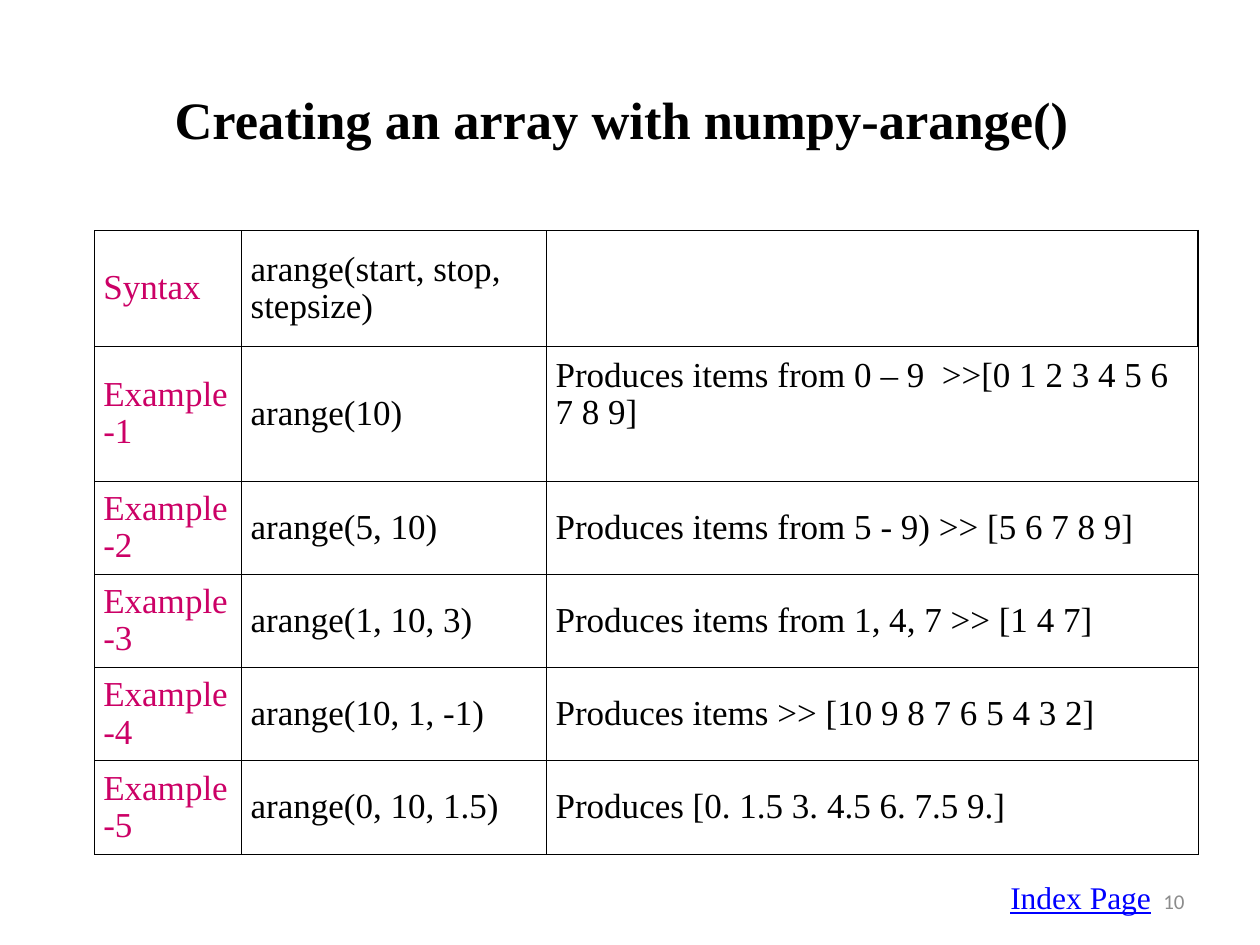
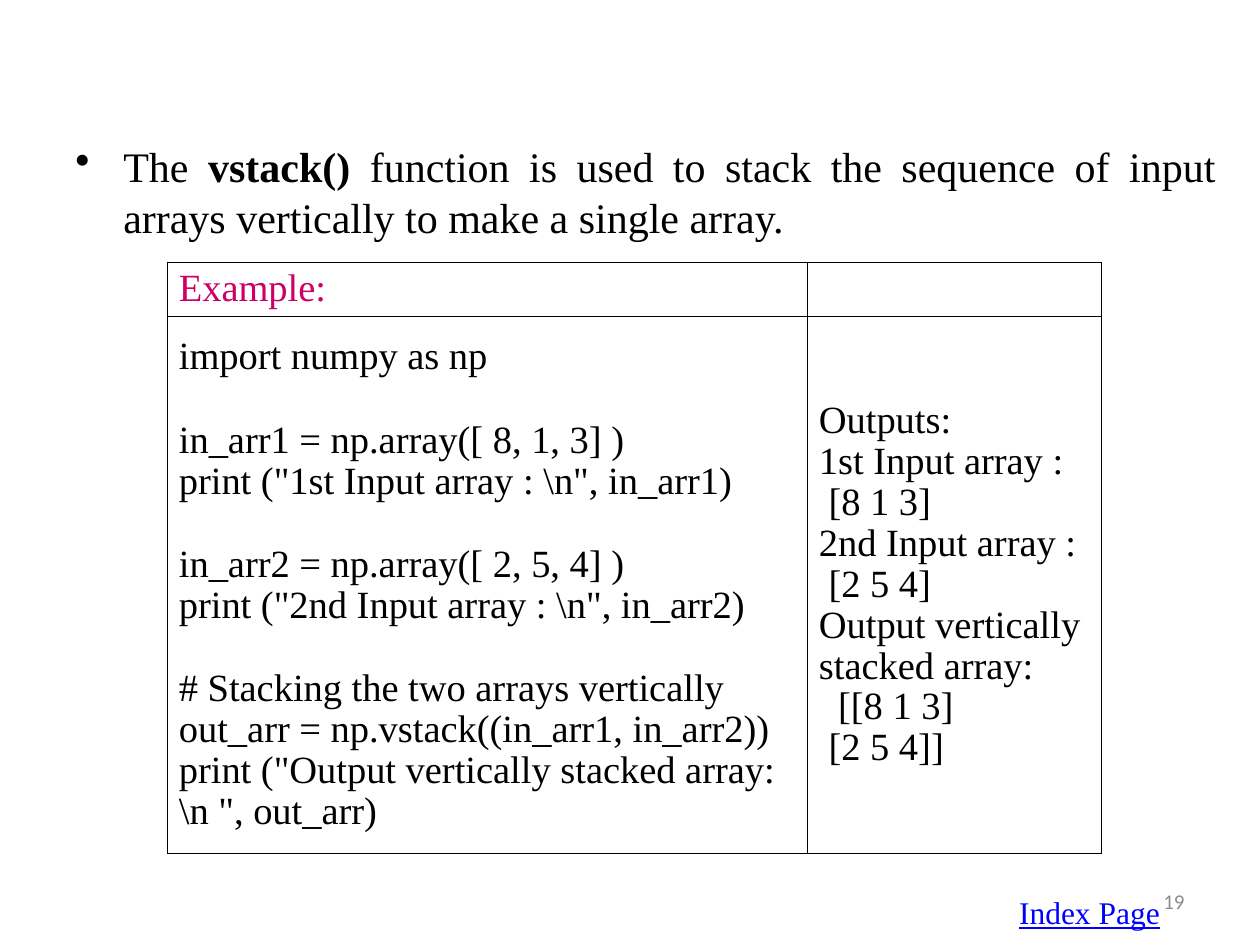
from lxml.etree import SubElement
from pptx import Presentation
from pptx.dml.color import RGBColor
from pptx.enum.text import MSO_ANCHOR as Anchor, MSO_AUTO_SIZE as AutoSize, PP_ALIGN as Align
from pptx.oxml.ns import qn
from pptx.util import Inches, Pt

SERIF = "Times New Roman"
BLACK, MAGENTA, LINK_BLUE, GREY = "000000", "CC0066", "0000FF", "8C8C8C"
CODE_LINE = 0.96

ARANGE_ROWS = [
    ("Syntax", "arange(start, stop, stepsize)", ""),
    ("Example-1", "arange(10)", "Produces items from 0 – 9  >>[0 1 2 3 4 5 6 7 8 9]"),
    ("Example-2", "arange(5, 10)", "Produces items from 5 - 9) >> [5 6 7 8 9]"),
    ("Example-3", "arange(1, 10, 3)", "Produces items from 1, 4, 7 >> [1 4 7]"),
    ("Example-4", "arange(10, 1, -1)", "Produces items >> [10 9 8 7 6 5 4 3 2]"),
    ("Example-5", "arange(0, 10, 1.5)", "Produces [0. 1.5 3. 4.5 6. 7.5 9.]"),
]
VSTACK_CODE = r'''import numpy as np

in_arr1 = np.array([ 8, 1, 3] )
print ("1st Input array : \n", in_arr1)

in_arr2 = np.array([ 2, 5, 4] )
print ("2nd Input array : \n", in_arr2)

# Stacking the two arrays vertically
out_arr = np.vstack((in_arr1, in_arr2))
print ("Output vertically stacked array:\n ", out_arr)'''
VSTACK_OUTPUT = '''Outputs:
1st Input array :
 [8 1 3]
2nd Input array :
 [2 5 4]
Output vertically stacked array:
  [[8 1 3]
 [2 5 4]]'''


def color(value):
    return RGBColor.from_string(value)


def set_values(target, values):
    for name, value in values.items():
        setattr(target, name, value)


def add_run(paragraph, text, size, ink=BLACK, name=SERIF, **values):
    run = paragraph.add_run()
    run.text = text
    set_values(run.font, {"size": Pt(size), "name": name, **values})
    run.font.color.rgb = color(ink)


def add_text(slide, box, align, **frame_values):
    shape = slide.shapes.add_textbox(*map(Inches, box))
    set_values(shape.text_frame, {"word_wrap": True, **frame_values})
    paragraph = shape.text_frame.paragraphs[0]
    paragraph.alignment = align
    return paragraph


def add_title(slide, box, text):
    paragraph = add_text(slide, box, Align.CENTER, word_wrap=False, auto_size=AutoSize.SHAPE_TO_FIT_TEXT)
    add_run(paragraph, text, 30, bold=True)


def add_footer(slide, number, link_left, link_top):
    page = add_text(slide, (7.17, 6.95, 2.33, 0.4), Align.RIGHT, vertical_anchor=Anchor.MIDDLE)
    add_run(page, number, 12, GREY, "Calibri")
    link = add_text(slide, (link_left, link_top, 1.33, 0.4), Align.JUSTIFY,
                    word_wrap=False, auto_size=AutoSize.SHAPE_TO_FIT_TEXT)
    add_run(link, "Index Page", 18, LINK_BLUE, underline=True)


def add_bullet(slide, box, pieces):
    paragraph = add_text(slide, box, Align.JUSTIFY)
    properties = paragraph._p.get_or_add_pPr()
    properties.set("marL", str(Inches(0.38)))
    properties.set("indent", str(Inches(-0.38)))
    SubElement(properties, qn("a:buChar"), char="•")
    paragraph.line_spacing = 1.03
    for text, bold in pieces:
        add_run(paragraph, text, 24, bold=bold)


def set_borders(cell, widths):
    properties = cell._tc.get_or_add_tcPr()
    for side, width in widths.items():
        line = SubElement(properties, qn(f"a:ln{side}"), w=str(Pt(width)))
        fill = SubElement(line, qn("a:solidFill"))
        SubElement(fill, qn("a:srgbClr"), val=BLACK)


def fill_cell(cell, text, size, ink, margin, widths):
    set_values(cell, {"vertical_anchor": Anchor.MIDDLE,
                      "margin_left": Inches(margin), "margin_right": Inches(margin),
                      "margin_top": Inches(0.04), "margin_bottom": Inches(0.04)})
    set_borders(cell, widths)
    cell.fill.background()
    paragraph, gap = cell.text_frame.paragraphs[0], 0
    for index, line in enumerate(text.split("\n") if text else []):
        if not line:
            gap = size * 1.15 * CODE_LINE
            continue
        if index:
            paragraph = cell.text_frame.add_paragraph()
        paragraph.line_spacing = CODE_LINE
        if gap:
            paragraph.space_before = Pt(gap)
        gap = 0
        add_run(paragraph, line, size, ink)


def add_grid(slide, origin, columns, heights, rows, size, margin, is_label, corner_width=0.5):
    box = (*origin, sum(columns), sum(heights))
    table = slide.shapes.add_table(len(rows), len(columns), *map(Inches, box)).table
    set_values(table, {"first_row": False, "horz_banding": False})
    for column, width in zip(table.columns, columns):
        column.width = Inches(width)
    for row, height in zip(table.rows, heights):
        row.height = Inches(height)
    for r, texts in enumerate(rows):
        for c, text in enumerate(texts):
            widths = dict.fromkeys("LRTB", 0.5)
            if r == 0 and c == len(columns) - 1:
                widths.update(R=corner_width, T=corner_width)
            ink = MAGENTA if is_label(r, c) else BLACK
            fill_cell(table.cell(r, c), text, size, ink, margin, widths)
    return table


def build_arange(slide):
    add_title(slide, (1.25, 0.64, 7.37, 0.61), "Creating an array with numpy-arange()")
    table = add_grid(slide, (0.75, 1.83), (1.17, 2.42, 5.17), (0.92, 1.07, *[0.74] * 4),
                     ARANGE_ROWS, 20, 0.07, lambda r, c: c == 0, corner_width=1)
    set_values(table.cell(1, 2), {"vertical_anchor": Anchor.TOP, "margin_top": Inches(0.09)})
    add_footer(slide, "10", 7.92, 6.92)


def build_vstack(slide):
    add_bullet(slide, (0.5, 1.05, 9.25, 0.95), [
        ("The ", False),
        ("vstack()", True),
        (" function is used to stack the sequence of input arrays vertically to make a single array.", False),
    ])
    add_grid(slide, (1.33, 2.08), (5.08, 2.33), (0.43, 4.24),
             [("Example:", ""), (VSTACK_CODE, VSTACK_OUTPUT)], 22, 0.09, lambda r, c: r == 0)
    add_footer(slide, "19", 7.99, 7.04)


def main():
    presentation = Presentation()
    set_values(presentation, {"slide_width": Inches(10), "slide_height": Inches(7.5)})
    for build in (build_arange, build_vstack):
        build(presentation.slides.add_slide(presentation.slide_layouts[6]))
    presentation.save("out.pptx")


if __name__ == "__main__":
    main()
